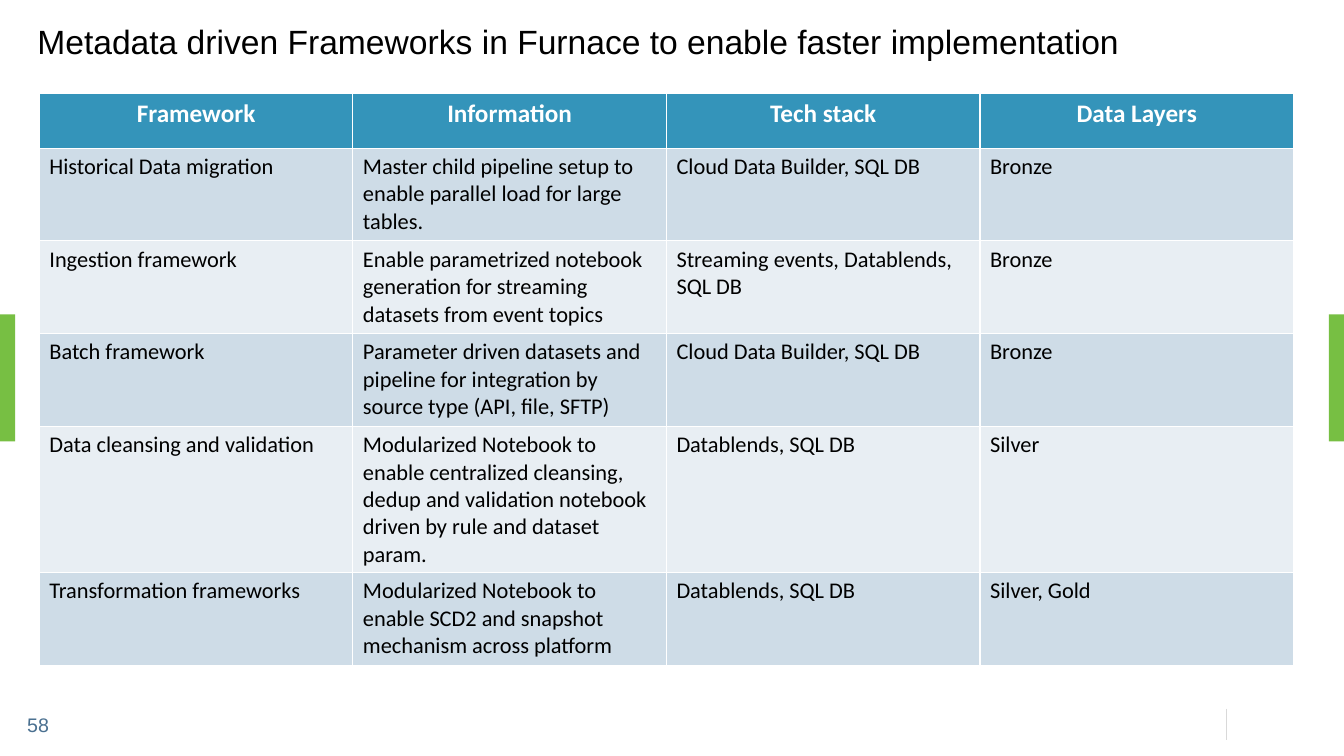
import pptx
import pptx.dml.color
import pptx.enum.shapes
import pptx.enum.text
import pptx.oxml
import pptx.util
from dataclasses import dataclass

Inches = pptx.util.Inches
Align = pptx.enum.text.PP_ALIGN
Anchor = pptx.enum.text.MSO_ANCHOR
AutoSize = pptx.enum.text.MSO_AUTO_SIZE


@dataclass(frozen=True)
class Theme:
    heading_font: str = "Arial"
    table_font: str = "Calibri"
    title_size: int = 24
    header_size: int = 18
    body_size: int = 16
    number_size: int = 14
    black: str = "000000"
    white: str = "FFFFFF"
    green: str = "77BF43"
    rule: str = "D9D9D9"
    number: str = "4A7090"
    header: str = "3494BA"
    bands: tuple = ("CEDCE7", "E8EEF3")


theme = Theme()


def rgb(value):
    return pptx.dml.color.RGBColor.from_string(value)


def write(frame, text, font, size, color, align=Align.LEFT, bold=False):
    frame.text = text
    para = frame.paragraphs[0]
    para.alignment = align
    span = para.runs[0]
    span.font.name = font
    span.font.size = pptx.util.Pt(size)
    span.font.bold = bold
    span.font.color.rgb = rgb(color)
    return para


deck = pptx.Presentation()
deck.slide_width = Inches(13.33)
deck.slide_height = Inches(7.5)
page = deck.slides.add_slide(deck.slide_layouts[5])

for left in (0, 13.18):
    tab = page.shapes.add_shape(
        pptx.enum.shapes.MSO_SHAPE.RECTANGLE,
        Inches(left), Inches(3.12), Inches(0.15), Inches(1.26))
    tab.shadow.inherit = False
    tab.fill.solid()
    tab.fill.fore_color.rgb = rgb(theme.green)
    tab.line.fill.background()

divider = page.shapes.add_connector(
    pptx.enum.shapes.MSO_CONNECTOR.STRAIGHT,
    Inches(12.16), Inches(7.03), Inches(12.16), Inches(7.34))
divider.line.color.rgb = rgb(theme.rule)
divider.line.width = pptx.util.Pt(0.75)
divider.element.spPr.append(pptx.oxml.parse_xml(
    '<a:effectLst xmlns:a="http://schemas.openxmlformats.org/drawingml/2006/main"/>'))

title = page.shapes.title
title.left, title.top = Inches(0.27), Inches(0.2)
title.width, title.height = Inches(12.8), Inches(0.46)
title.text_frame.auto_size = AutoSize.NONE
title.text_frame.vertical_anchor = Anchor.MIDDLE
title_para = write(
    title.text_frame,
    "Metadata driven Frameworks in Furnace to enable faster implementation",
    theme.heading_font, theme.title_size, theme.black)
title_para.line_spacing = 0.9

number_box = page.shapes.add_textbox(
    Inches(0.27), Inches(7.07), Inches(0.24), Inches(0.24))
number_frame = number_box.text_frame
number_frame.margin_left = number_frame.margin_right = 0
number_frame.margin_top = number_frame.margin_bottom = 0
number_frame.word_wrap = False
number_frame.vertical_anchor = Anchor.MIDDLE
write(number_frame, "58", theme.heading_font, theme.number_size, theme.number)

frameworks = [
    ("Framework", "Information", "Tech stack", "Data Layers"),
    ("Historical Data migration",
     "Master child pipeline setup to enable parallel load for large tables.",
     "Cloud Data Builder, SQL DB", "Bronze"),
    ("Ingestion framework",
     "Enable parametrized notebook generation for streaming datasets from event topics",
     "Streaming events, Datablends, SQL DB", "Bronze"),
    ("Batch framework",
     "Parameter driven datasets and pipeline for integration by source type (API, file, SFTP)",
     "Cloud Data Builder, SQL DB", "Bronze"),
    ("Data cleansing and validation",
     "Modularized Notebook to enable centralized cleansing, dedup and validation "
     "notebook driven by rule and dataset param.",
     "Datablends, SQL DB", "Silver"),
    ("Transformation frameworks",
     "Modularized Notebook to enable SCD2 and snapshot mechanism across platform",
     "Datablends, SQL DB", "Silver, Gold"),
]
row_heights = (0.54, 0.92, 0.92, 0.92, 1.45, 0.92)

table = page.shapes.add_table(
    len(frameworks), len(frameworks[0]),
    Inches(0.39), Inches(0.93), Inches(12.44), Inches(sum(row_heights))).table
for column in table.columns:
    column.width = Inches(3.11)
for row_index, (height, entries) in enumerate(zip(row_heights, frameworks)):
    table.rows[row_index].height = Inches(height)
    is_header = row_index == 0
    fill = theme.header if is_header else theme.bands[(row_index - 1) % 2]
    for column_index, text in enumerate(entries):
        cell = table.cell(row_index, column_index)
        cell.fill.solid()
        cell.fill.fore_color.rgb = rgb(fill)
        write(cell.text_frame, text, theme.table_font,
              theme.header_size if is_header else theme.body_size,
              theme.white if is_header else theme.black,
              Align.CENTER if is_header else Align.LEFT, is_header)

deck.save("out.pptx")
